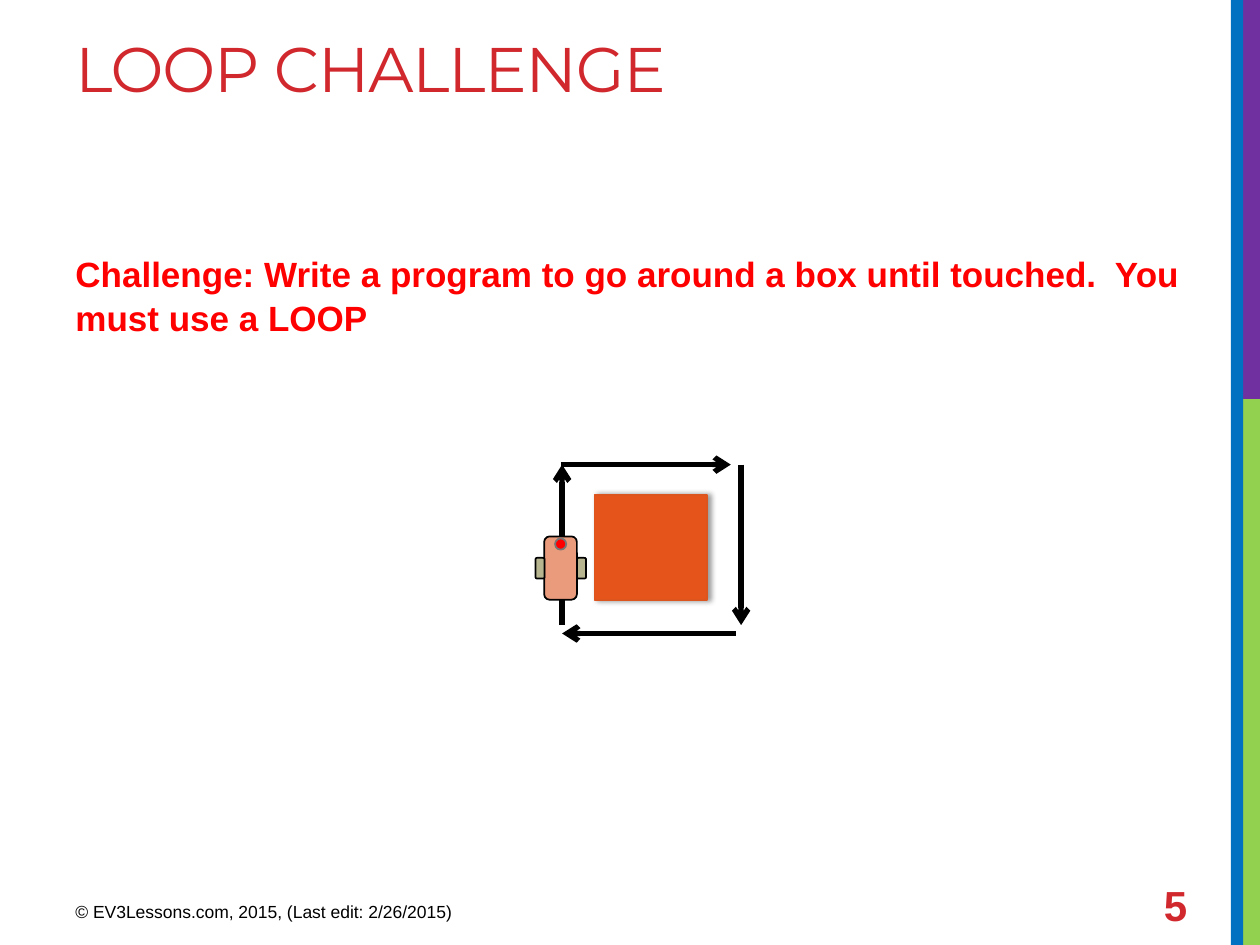
"""Build the Loop Challenge slide: a robot driving around a box."""
import pptx
import pptx.dml.color
import pptx.enum.shapes
import pptx.enum.text
import pptx.oxml.ns
import pptx.util
from lxml import etree

Pt = pptx.util.Pt
SHAPE = pptx.enum.shapes.MSO_SHAPE
ANCHOR = pptx.enum.text.MSO_ANCHOR
COLORS = {
    "green": "92D050", "purple": "7030A0", "blue": "0070C0",
    "crimson": "D1282E", "red": "FF0000", "black": "000000",
    "box": "E5551B", "box_edge": "DC551F",
    "body": "EA9B7C", "wheel": "B6B590", "sensor_edge": "777777",
}


def rgb(name):
    """Return the named colour."""
    return pptx.dml.color.RGBColor.from_string(COLORS[name])


def sub(parent, tag, **attrs):
    """Append a DrawingML element to parent."""
    return etree.SubElement(parent, pptx.oxml.ns.qn(tag), attrs)


def add_shape(shapes, kind, box, fill, line=None):
    """Add a filled shape, outlined at 1 pt if a line colour is given."""
    sp = shapes.add_shape(kind, *map(Pt, box))
    sp.shadow.inherit = False
    sp.fill.solid()
    sp.fill.fore_color.rgb = rgb(fill)
    if line:
        sp.line.color.rgb = rgb(line)
        sp.line.width = Pt(1)
    else:
        sp.line.fill.background()
    return sp


def add_shadow(sp):
    """Give a shape a soft shadow to its right."""
    effects = sp._element.spPr.find(pptx.oxml.ns.qn("a:effectLst"))
    shadow = sub(effects, "a:outerShdw", blurRad=str(Pt(3.1)),
                 dist=str(Pt(1.8)), dir="0", algn="ctr", rotWithShape="0")
    color = sub(shadow, "a:srgbClr", val=COLORS["black"])
    sub(color, "a:alpha", val="40000")


def add_text(shapes, box, text, size, color, font="Arial", bold=False,
             anchor=ANCHOR.TOP, spacing=None, tracking=None):
    """Add a wrapping text box with one formatted paragraph."""
    tf = shapes.add_textbox(*map(Pt, box)).text_frame
    tf.word_wrap = True
    tf.vertical_anchor = anchor
    p = tf.paragraphs[0]
    p.text = text
    if spacing:
        p.line_spacing = spacing
    r = p.runs[0]
    r.font.name = font
    r.font.size = Pt(size)
    r.font.bold = bold
    r.font.color.rgb = rgb(color)
    if tracking:
        r.font._element.set("spc", str(tracking))


def add_arrow(shapes, start, end):
    """Add a thick black line with an open arrowhead at its end."""
    line = shapes.add_connector(pptx.enum.shapes.MSO_CONNECTOR.STRAIGHT,
                                *map(Pt, start + end))
    line.line.color.rgb = rgb("black")
    line.line.width = Pt(3)
    sub(line.line._get_or_add_ln(), "a:tailEnd", type="arrow")
    sub(line._element.spPr, "a:effectLst")


def add_robot(shapes):
    """Add the grouped robot: body, two wheels and touch sensor."""
    robot = shapes.add_group_shape().shapes
    add_shape(robot, SHAPE.ROUNDED_RECTANGLE, (311, 306.5, 18.7, 36.2), "body", "black")
    for x in (329.7, 306):
        add_shape(robot, SHAPE.ROUNDED_RECTANGLE, (x, 318.8, 5.2, 11.8), "wheel", "black")
    add_shape(robot, SHAPE.OVAL, (317.2, 307.7, 6.4, 6.4), "red", "sensor_edge")


def main():
    """Build and save the slide."""
    prs = pptx.Presentation()
    prs.slide_width, prs.slide_height = Pt(720), Pt(540)
    shapes = prs.slides.add_slide(prs.slide_layouts[6]).shapes

    for box, fill in (((709.2, 228, 10.8, 312), "green"),
                      ((706.3, 0, 13.7, 228), "purple"),
                      ((703.4, 0, 7, 540), "blue")):
        add_shape(shapes, SHAPE.RECTANGLE, box, fill)

    add_text(shapes, (36, 13.5, 649.4, 108), "LOOP CHALLENGE", 36, "crimson",
             font="Montserrat", tracking=-60)
    add_text(shapes, (36, 139.5, 649.4, 344),
             "Challenge: Write a program to go around a box until touched.  "
             "You must use a LOOP", 20, "red", bold=True, spacing=1.05)
    add_text(shapes, (36, 511.2, 270, 22.3),
             "© EV3Lessons.com, 2015, (Last edit: 2/26/2015)", 10, "black")
    add_text(shapes, (658, 502.6, 46.8, 28.8), "5", 24, "crimson", bold=True,
             anchor=ANCHOR.MIDDLE)

    add_shadow(add_shape(shapes, SHAPE.RECTANGLE, (339.7, 282.7, 64.3, 60.1),
                         "box", "box_edge"))
    left, right, top, bottom = 321.2, 423.5, 265.5, 357.2
    for start, end in (((left, bottom), (left, top)),
                       ((left - 0.7, top), (417.6, top)),
                       ((right, top), (right, bottom)),
                       ((420.5, 362), (left, 362))):
        add_arrow(shapes, start, end)
    add_robot(shapes)
    prs.save("out.pptx")


if __name__ == "__main__":
    main()
